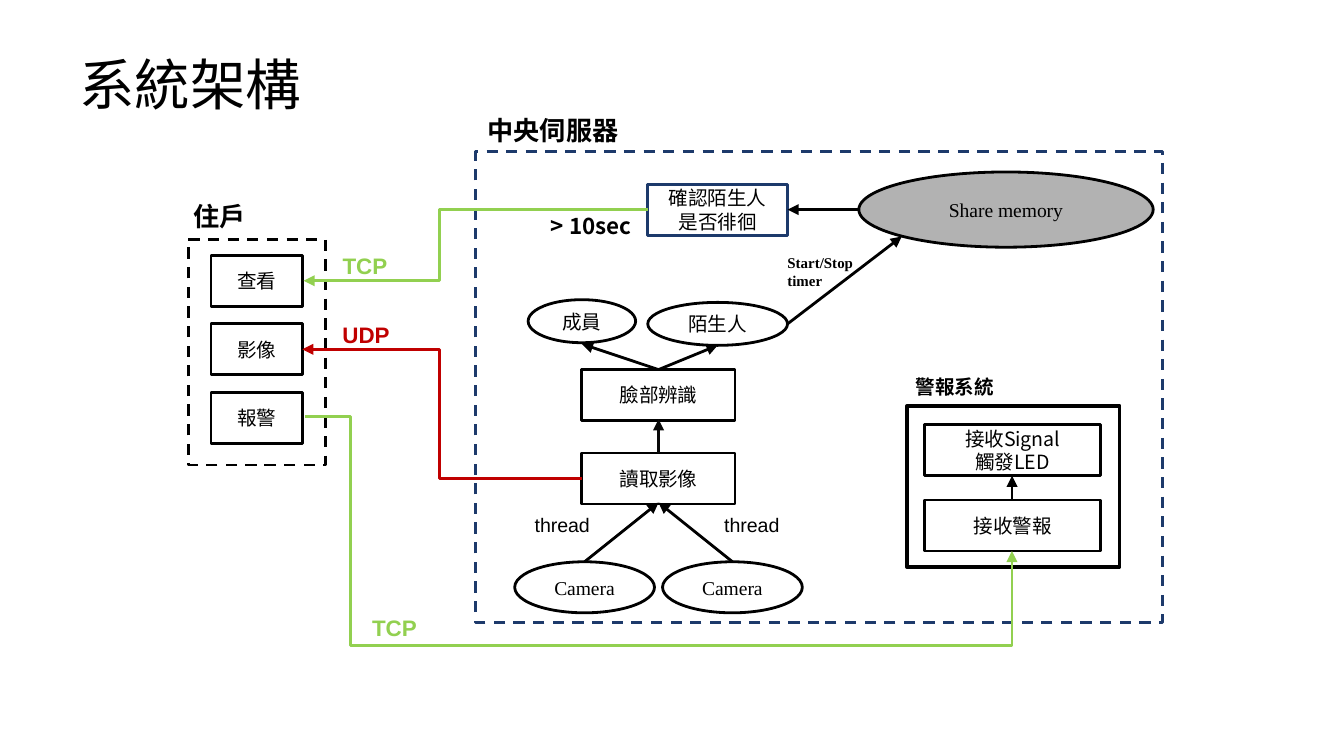
from dataclasses import dataclass
from typing import Any

from lxml.etree import SubElement
from pptx import Presentation
from pptx.dml.color import RGBColor
from pptx.enum.dml import MSO_LINE
from pptx.enum.shapes import MSO_CONNECTOR, MSO_SHAPE
from pptx.enum.text import MSO_ANCHOR, PP_ALIGN
from pptx.oxml.ns import qn
from pptx.util import Inches, Pt

NOTO, ARIAL, TIMES = "Noto Sans CJK SC", "Arial", "Times New Roman"
BLACK, NAVY, GREEN, RED = "000000", "1D3A6B", "92D050", "C00000"
RECT, OVAL = MSO_SHAPE.RECTANGLE, MSO_SHAPE.OVAL
MID = {"anchor": MSO_ANCHOR.MIDDLE, "align": PP_ALIGN.CENTER}
WIDE = 10
Point = tuple[float, float]


@dataclass
class Node:
    x: float
    y: float
    w: float
    h: float = 0.38
    text: str = ""
    kind: Any = RECT
    font: str = NOTO
    line: str = BLACK
    width: float = 1.5
    fill: str = ""
    dash: bool = False


@dataclass
class Label:
    x: float
    y: float
    w: float
    h: float
    text: str
    size: float
    font: str = ARIAL
    color: str = BLACK
    bold: bool = True
    mid: bool = False


@dataclass
class Link:
    start: Point
    end: Point
    color: str = BLACK
    bends: tuple[float, ...] = ()


def paint(fmt: Any, tone: str) -> None:
    fmt.rgb = RGBColor.from_string(tone)


def apply(item: Any, values: dict[str, Any]) -> None:
    for name, value in values.items():
        setattr(item, name, value)


def write(frame: Any, text: str, size: float, font: str, color: str,
          bold: bool = False, anchor: Any = MSO_ANCHOR.TOP,
          align: Any = PP_ALIGN.LEFT) -> None:
    apply(frame, {"word_wrap": True, "vertical_anchor": anchor, "text": text})
    for para in frame.paragraphs:
        para.alignment = align
        for run in para.runs:
            apply(run.font, {"name": font, "size": Pt(size), "bold": bold})
            paint(run.font.color, color)
            SubElement(run.font._element, qn("a:ea"), typeface=NOTO)


def draw_node(slide: Any, node: Node) -> None:
    box = map(Inches, (node.x, node.y, node.w, node.h))
    shape = slide.shapes.add_shape(node.kind, *box)
    shape.shadow.inherit = False
    if node.fill:
        shape.fill.solid()
        paint(shape.fill.fore_color, node.fill)
    else:
        shape.fill.background()
    shape.line.width = Pt(node.width)
    paint(shape.line.color, node.line)
    if node.dash:
        shape.line.dash_style = MSO_LINE.DASH
    if node.text:
        write(shape.text_frame, node.text, 10.5, node.font, BLACK, **MID)


def draw_label(slide: Any, label: Label) -> Any:
    box = map(Inches, (label.x, label.y, label.w, label.h))
    frame = slide.shapes.add_textbox(*box).text_frame
    write(frame, label.text, label.size, label.font, label.color, label.bold,
          **(MID if label.mid else {}))
    return frame


def draw_link(slide: Any, link: Link) -> None:
    kind = MSO_CONNECTOR.ELBOW if link.bends else MSO_CONNECTOR.STRAIGHT
    wire = slide.shapes.add_connector(kind, *map(Inches, link.start + link.end))
    wire.line.width = Pt(1.5)
    paint(wire.line.color, link.color)
    SubElement(wire.line._get_or_add_ln(), qn("a:tailEnd"), type="triangle")
    props = wire._element.spPr
    SubElement(props, qn("a:effectLst"))
    if link.bends:
        shape = props.find(qn("a:prstGeom"))
        shape.set("prst", f"bentConnector{len(link.bends) + 2}")
        guides = shape.find(qn("a:avLst"))
        if guides is None:
            guides = SubElement(shape, qn("a:avLst"))
        for num, bend in enumerate(link.bends, 1):
            SubElement(guides, qn("a:gd"), name=f"adj{num}",
                       fmla=f"val {round(bend * 100000)}")


NODES = [
    Node(3.54, 1.13, 5.11, 3.5, line=NAVY, dash=True),
    Node(4.33, 3.37, 1.14, text="讀取影像"),
    Node(4.33, 2.75, 1.14, text="臉部辨識"),
    Node(6.39, 1.28, 2.19, 0.56, "Share memory", OVAL, TIMES, fill="B2B2B2"),
    *(Node(x, 4.18, 1.04, 0.38, "Camera", OVAL, TIMES) for x in (3.83, 4.93)),
    Node(1.4, 1.78, 1.02, 1.68, dash=True),
    *(Node(1.57, 1.9 + 0.51 * row, 0.68, text=text)
      for row, text in enumerate(("查看", "影像", "報警"))),
    Node(3.93, 2.23, 0.8, 0.32, "成員", OVAL),
    Node(4.82, 2.25, 1.04, 0.32, "陌生人", OVAL),
    Node(4.82, 1.37, 1.04, text="確認陌生人是否徘徊", line=NAVY),
    Node(6.88, 3.72, 1.31, text="接收警報"),
    Node(6.75, 3.02, 1.58, 1.2, width=2),
    Node(6.88, 3.16, 1.31, text="接收Signal\n觸發LED"),
]

LABELS = [
    Label(3.53, 0.8, 1.4, 0.34, "中央伺服器", 14),
    Label(1.34, 1.44, 0.9, 0.34, "住戶", 14),
    Label(2.45, 2.34, 0.66, 0.3, "UDP", 12, color=RED),
    Label(2.45, 1.83, 0.71, 0.3, "TCP", 12, color=GREEN),
    Label(2.67, 4.52, 0.71, 0.3, "TCP", 12, color=GREEN),
    Label(4, 1.53, 0.83, 0.3, "> 10sec", 12, NOTO),
    *(Label(x, 3.77, 0.69, 0.28, "thread", 10.5, bold=False)
      for x in (3.88, 5.29)),
    Label(6.45, 2.69, 1.31, 0.38, "警報系統", 10.5, NOTO, mid=True),
    Label(5.76, 1.84, 0.95, 0.37, "Start/Stop timer", 8, TIMES),
]

LINKS = [
    Link((4.9, 3.37), (4.9, 3.12), "090909"),
    *(Link((x, 4.18), (4.9, 3.74)) for x in (4.35, 5.45)),
    Link((4.9, 2.75), (4.33, 2.56)),
    Link((4.9, 2.75), (5.34, 2.57)),
    Link((5.86, 2.41), (6.71, 1.76)),
    Link((6.39, 1.56), (5.86, 1.56)),
    Link((7.53, 3.72), (7.53, 3.54)),
    Link((2.27, 3.1), (7.53, 4.1), GREEN, (0.064, 1.706)),
    Link((4.82, 1.56), (2.26, 2.09), GREEN, (0.604,)),
    Link((4.33, 3.56), (2.25, 2.6), RED, (0.51,)),
]


def main() -> None:
    deck = Presentation()
    apply(deck, {"slide_width": Inches(WIDE),
                 "slide_height": Inches(WIDE * 9 / 16)})
    slide = deck.slides.add_slide(deck.slide_layouts[6])
    title = Label(0.49, 0.37, 9.32, 0.63, "系統架構", 29.7, "Lato", bold=False)
    frame = draw_label(slide, title)
    apply(frame, {"margin_top": Inches(0.1), "margin_bottom": Inches(0.1)})
    frame.paragraphs[0].line_spacing = 0.8
    for node in NODES:
        draw_node(slide, node)
    for link in LINKS:
        draw_link(slide, link)
    for label in LABELS:
        draw_label(slide, label)
    deck.save("out.pptx")


if __name__ == "__main__":
    main()
